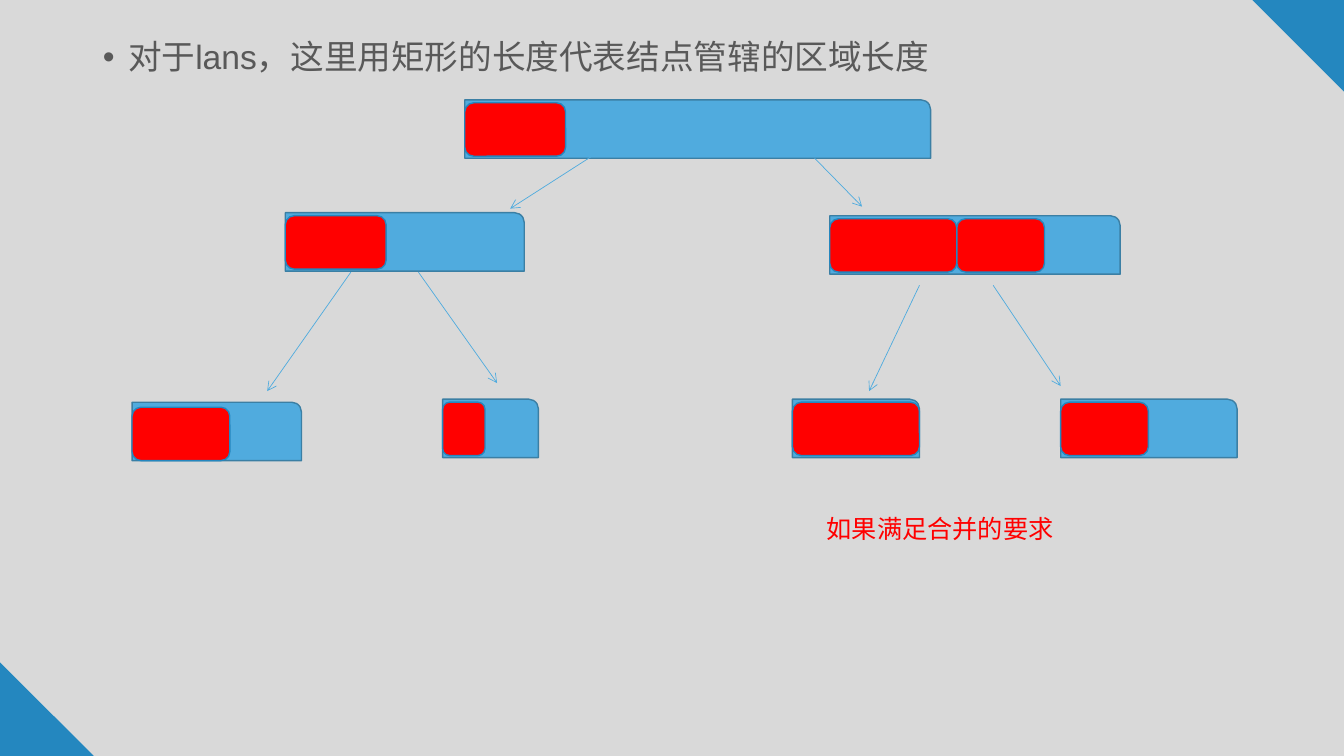
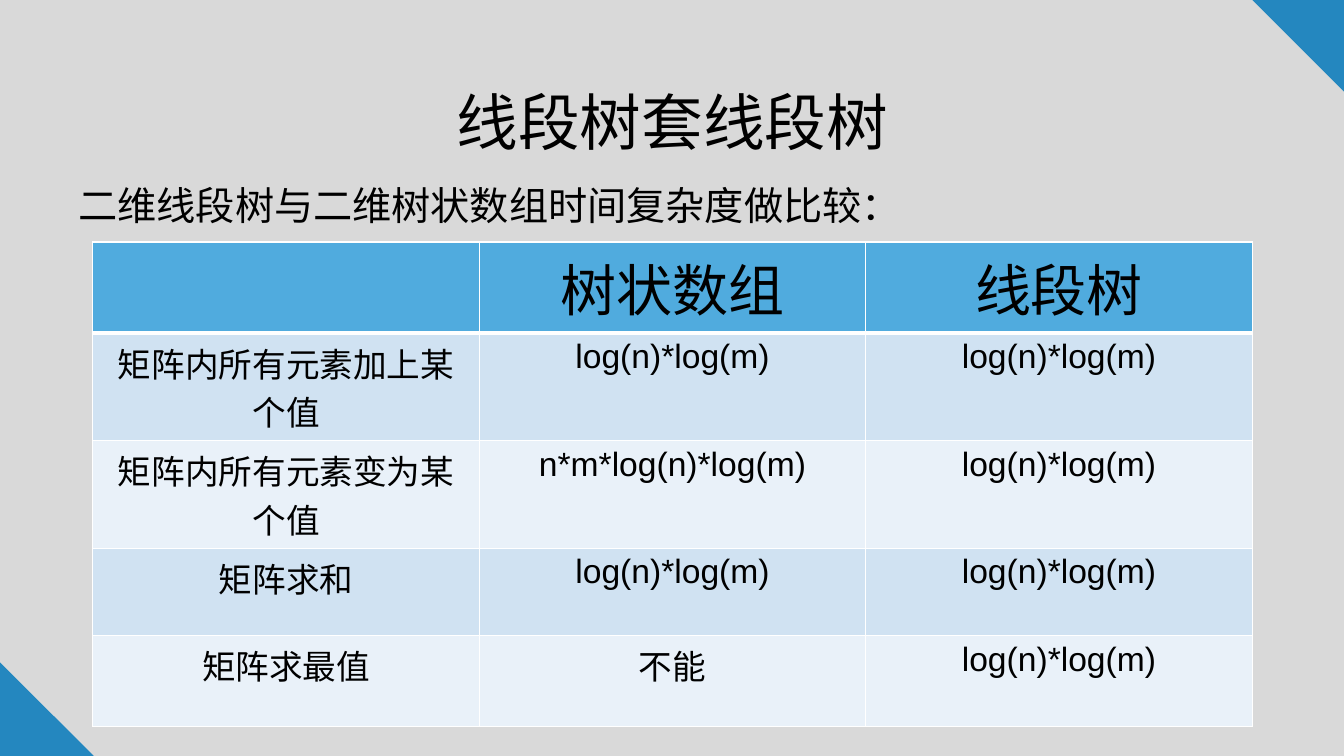
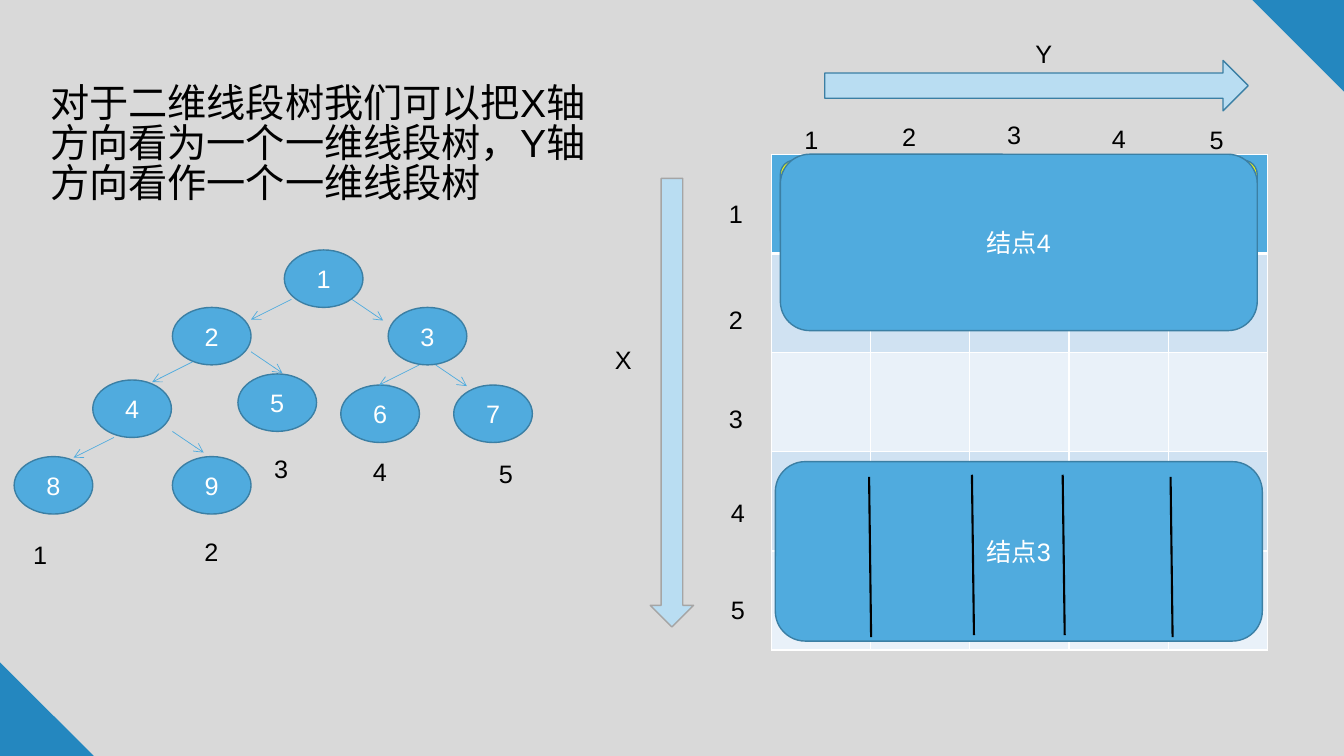
from lxml import etree
from pptx import Presentation
from pptx.dml.color import RGBColor
from pptx.enum import shapes, text
from pptx.oxml import ns
from pptx.util import Inches, Pt

GREY = RGBColor(0xD9, 0xD9, 0xD9)
CORNER = RGBColor(0x24, 0x87, 0xBF)
BLUE = RGBColor(0x50, 0xAB, 0xDE)
OUTLINE = RGBColor(0x3B, 0x7F, 0xA4)
PALE_BLUE = RGBColor(0xB9, 0xDD, 0xF2)
ARROW_GREY = RGBColor(0xA5, 0xA5, 0xA5)
BAND_DARK = RGBColor(0xD0, 0xE2, 0xF2)
BAND_LIGHT = RGBColor(0xE9, 0xF1, 0xF9)
RED = RGBColor(0xFF, 0x00, 0x00)
YELLOW = RGBColor(0xFF, 0xFF, 0x00)
BLACK = RGBColor(0x00, 0x00, 0x00)
WHITE = RGBColor(0xFF, 0xFF, 0xFF)
BODY_GREY = RGBColor(0x59, 0x59, 0x59)
LATIN_FONT = "Arial"
CHINESE_FONT = "Noto Sans CJK SC"
CHINESE_SPACING = 0.85
KIND = shapes.MSO_SHAPE
CENTER = text.PP_ALIGN.CENTER


def write(para, words, size, color, align=None, spacing=None, font=LATIN_FONT):
    para.alignment = align
    para.line_spacing = spacing
    span = para.add_run()
    span.text = words
    span.font.size = Pt(size)
    span.font.color.rgb = color
    span.font.name = font
    properties = span._r.get_or_add_rPr()
    etree.SubElement(properties, ns.qn("a:ea"), typeface=CHINESE_FONT)


def add_text(page, left, top, width, height, words, size=18, color=BLACK, spacing=None):
    box = page.shapes.add_textbox(Inches(left), Inches(top), Inches(width), Inches(height))
    box.text_frame.word_wrap = True
    write(box.text_frame.paragraphs[0], words, size, color, spacing=spacing)


def add_label(page, left, top, words):
    add_text(page, left, top, 0.5, 0.4, words)


def add_figure(page, kind, left, top, width, height, fill=BLUE, line=OUTLINE, words=None):
    figure = page.shapes.add_shape(kind, Inches(left), Inches(top), Inches(width), Inches(height))
    figure.shadow.inherit = False
    figure.fill.solid()
    figure.fill.fore_color.rgb = fill
    if line is None:
        figure.line.fill.background()
    else:
        figure.line.color.rgb = line
        figure.line.width = Pt(1)
    if words:
        figure.text_frame.vertical_anchor = text.MSO_ANCHOR.MIDDLE
        write(figure.text_frame.paragraphs[0], words, 18, WHITE, CENTER)
    return figure


def add_line(page, start, end, color=BLUE, width=0.5, arrow=True):
    points = [Inches(length) for length in (*start, *end)]
    line = page.shapes.add_connector(shapes.MSO_CONNECTOR.STRAIGHT, *points)
    line.line.color.rgb = color
    line.line.width = Pt(width)
    properties = line.element.spPr
    if arrow:
        etree.SubElement(properties.find(ns.qn("a:ln")), ns.qn("a:tailEnd"), type="arrow")
    etree.SubElement(properties, ns.qn("a:effectLst"))


def set_border(cell, side, width):
    properties = cell._tc.get_or_add_tcPr()
    line = etree.SubElement(properties, ns.qn(f"a:ln{side}"), w=str(Pt(width)))
    fill = etree.SubElement(line, ns.qn("a:solidFill"))
    etree.SubElement(fill, ns.qn("a:srgbClr"), val=str(WHITE))


def add_grid(page, left, top, widths, heights):
    frame = page.shapes.add_table(
        len(heights), len(widths), Inches(left), Inches(top),
        Inches(sum(widths)), Inches(sum(heights)))
    table = frame.table
    table.horz_banding = False
    for column, width in zip(table.columns, widths):
        column.width = Inches(width)
    for index, (row, height) in enumerate(zip(table.rows, heights)):
        row.height = Inches(height)
        band = BAND_DARK if index % 2 else BAND_LIGHT
        for cell in row.cells:
            set_border(cell, "L", 1)
            set_border(cell, "R", 1)
            set_border(cell, "T", 3 if index == 1 else 1)
            set_border(cell, "B", 3 if index == 0 else 1)
            cell.fill.solid()
            cell.fill.fore_color.rgb = band if index else BLUE
    return table


def place(holder, left, top, width, height):
    holder.left, holder.top = Inches(left), Inches(top)
    holder.width, holder.height = Inches(width), Inches(height)
    holder.text_frame.auto_size = text.MSO_AUTO_SIZE.NONE
    return holder.text_frame.paragraphs[0]


def style_master(deck, page):
    master = deck.slide_master
    master.background.fill.solid()
    master.background.fill.fore_color.rgb = GREY
    for left, top, size, turn in ((12.42, 0, 0.91, 180), (0, 6.57, 0.93, 0)):
        corner = add_figure(page, KIND.RIGHT_TRIANGLE, left, top, size, size, CORNER, None)
        corner.rotation = turn
        master.shapes.element.insert(2, corner.element)


def build_merge_tree(page):
    title = page.shapes.title.element
    title.getparent().remove(title)
    para = place(page.placeholders[1], 0.92, 0.23, 11.5, 6.53)
    write(para, "对于lans，这里用矩形的长度代表结点管辖的区域长度", 24, BODY_GREY, spacing=1.2)
    para.space_before = Pt(10)
    properties = para._p.get_or_add_pPr()
    properties.set("marL", str(Inches(0.25)))
    properties.set("indent", str(Inches(-0.25)))

    nodes = (
        (4.61, 0.99, 4.62, 0.03, (1,)),
        (2.83, 2.11, 2.37, 0.03, (1,)),
        (8.23, 2.14, 2.88, 0.03, (1.26, 0.87)),
        (1.31, 3.99, 1.68, 0.05, (0.97,)),
        (4.39, 3.96, 0.95, 0.03, (0.42,)),
        (7.86, 3.96, 1.26, 0.03, (1.26,)),
        (10.52, 3.96, 1.75, 0.03, (0.87,)),
    )
    for left, top, width, inset, parts in nodes:
        add_figure(page, KIND.ROUND_1_RECTANGLE, left, top, width, 0.58)
        for part in parts:
            add_figure(page, KIND.ROUNDED_RECTANGLE, left, top + inset, part, 0.53, RED, CORNER)
            left += part

    arrows = (
        ((5.87, 1.55), (5.06, 2.07)), ((8.08, 1.57), (8.55, 2.05)),
        ((3.48, 2.7), (2.65, 3.88)), ((4.15, 2.7), (4.93, 3.8)),
        ((9.12, 2.83), (8.62, 3.88)), ((9.85, 2.83), (10.52, 3.83)),
    )
    for start, end in arrows:
        add_line(page, start, end)
    add_text(page, 8.1, 5.09, 4.38, 0.4, "如果满足合并的要求", 18, RED, CHINESE_SPACING)


def build_comparison(page):
    para = place(page.shapes.title, 0.92, 0.4, 11.5, 1.45)
    write(para, "线段树套线段树", 44, BLACK, CENTER, 1.2, CHINESE_FONT)
    cost = "log(n)*log(m)"
    rows = (
        ("", "树状数组", "线段树"),
        ("矩阵内所有元素加上某个值", cost, cost),
        ("矩阵内所有元素变为某个值", "n*m*" + cost, cost),
        ("矩阵求和", cost, cost),
        ("矩阵求最值", "不能", cost),
    )
    table = add_grid(page, 0.92, 2.4, [11.5 / 3] * 3, (0.9, 0.95, 0.85, 0.87, 0.9))
    for index, row in enumerate(rows):
        for column, words in enumerate(row):
            if words:
                para = table.cell(index, column).text_frame.paragraphs[0]
                write(para, words, 24 if index else 40, BLACK, CENTER)
    add_text(page, 0.68, 1.82, 8.77, 0.57, "二维线段树与二维树状数组时间复杂度做比较：",
             28, spacing=CHINESE_SPACING)


def add_number_tree(page):
    nodes = ((2.82, 2.48), (1.71, 3.05), (3.85, 3.05), (0.92, 3.77), (2.36, 3.71),
             (3.38, 3.82), (4.5, 3.82), (0.14, 4.53), (1.71, 4.53))
    for number, (left, top) in enumerate(nodes, 1):
        add_figure(page, KIND.OVAL, left, top, 0.78, 0.57, words=str(number))
    right_starts = ((3.49, 2.97), (4.32, 3.62), (2.49, 3.49), (1.71, 4.28))
    left_starts = ((2.89, 2.97), (4.16, 3.62), (1.91, 3.59), (1.13, 4.34))
    for starts, across, down in ((right_starts, 0.31, 0.21), (left_starts, -0.4, 0.2)):
        for x, y in starts:
            add_line(page, (x, y), (x + across, y + down))


def build_two_axes(page):
    add_grid(page, 7.65, 1.53, [4.92 / 5] * 5, [4.92 / 5] * 5)
    row_labels = ((7.13, 1.92), (7.13, 2.97), (7.13, 3.95), (7.15, 4.88), (7.15, 5.85))
    column_labels = ((7.88, 1.18), (8.85, 1.15), (9.89, 1.13), (10.93, 1.17), (11.9, 1.18))
    leaf_labels = ((0.23, 5.3), (1.93, 5.27), (2.62, 4.45), (3.6, 4.48), (4.85, 4.5))
    for labels in (row_labels, column_labels, leaf_labels):
        for number, (left, top) in enumerate(labels, 1):
            add_label(page, left, top, str(number))

    add_figure(page, KIND.DOWN_ARROW, 6.45, 1.77, 0.43, 4.45, PALE_BLUE, ARROW_GREY)
    add_label(page, 6, 3.37, "X")
    add_figure(page, KIND.RIGHT_ARROW, 8.18, 0.6, 4.2, 0.5, PALE_BLUE)
    add_label(page, 10.17, 0.33, "Y")
    add_text(page, 0.4, 0.8, 5.62, 1.51,
             "对于二维线段树我们可以把X轴方向看为一个一维线段树，Y轴方向看作一个一维线段树",
             28, spacing=CHINESE_SPACING)
    add_number_tree(page)

    add_figure(page, KIND.ROUNDED_RECTANGLE, 7.74, 1.59, 4.73, 0.83, YELLOW)
    add_figure(page, KIND.ROUNDED_RECTANGLE, 7.74, 1.53, 4.73, 1.75, words="结点4")
    add_figure(page, KIND.ROUNDED_RECTANGLE, 7.69, 4.58, 4.83, 1.78, words="结点3")
    for x, y in ((8.62, 4.73), (9.64, 4.71), (10.54, 4.71), (11.61, 4.73)):
        add_line(page, (x, y), (x + 0.02, y + 1.59), BLACK, 1.5, arrow=False)


def main():
    deck = Presentation()
    deck.slide_width, deck.slide_height = Inches(13.33), Inches(7.5)
    content, title_only, blank = (deck.slide_layouts[index] for index in (1, 5, 6))
    pages = [deck.slides.add_slide(layout) for layout in (content, title_only, blank)]
    style_master(deck, pages[0])
    for build, page in zip((build_merge_tree, build_comparison, build_two_axes), pages):
        build(page)
    deck.save("out.pptx")


if __name__ == "__main__":
    main()
